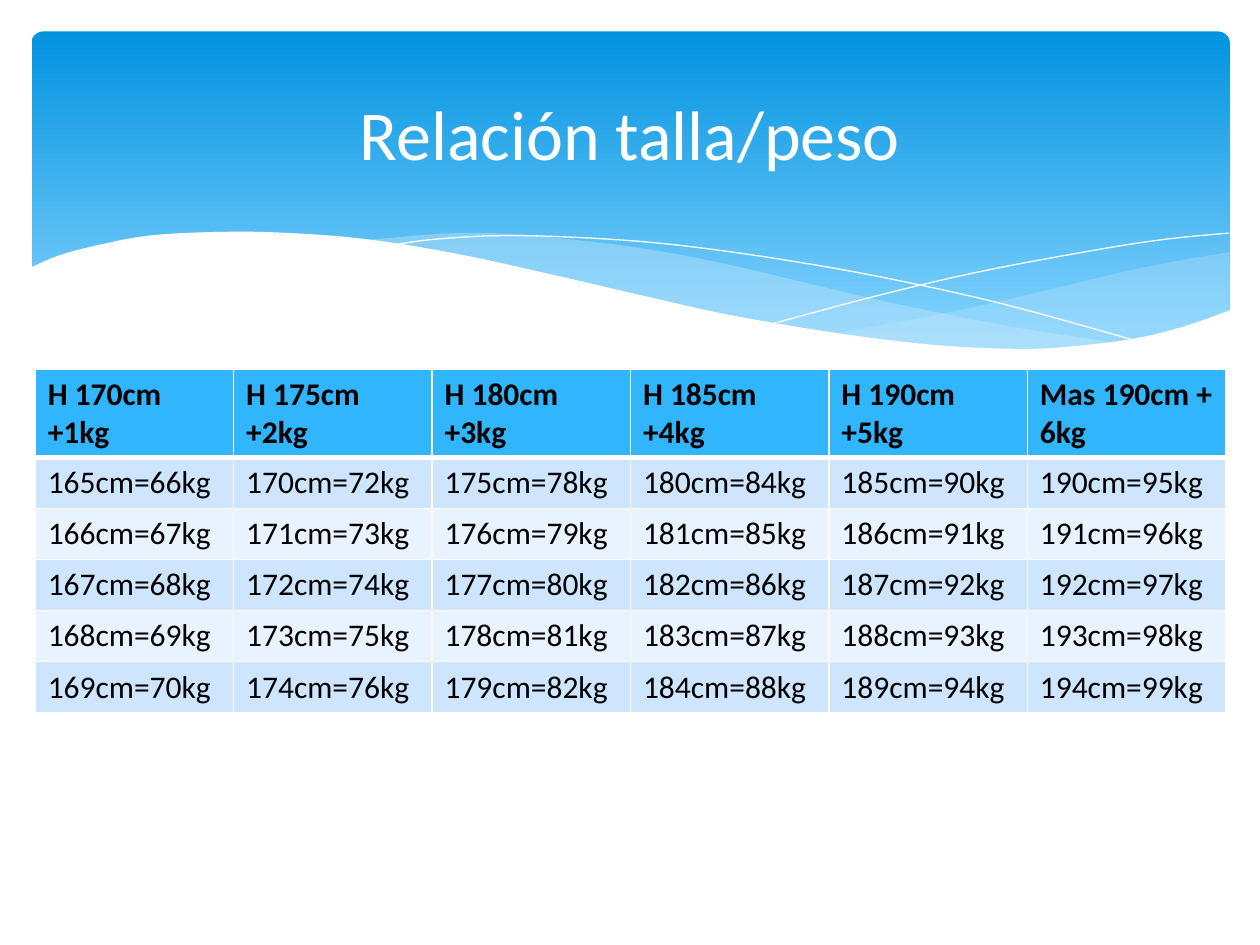
"""Build the height and weight table slide under a wavy blue banner."""
import pptx
import pptx.dml.color
import pptx.enum.shapes
import pptx.enum.text
import pptx.oxml
import pptx.oxml.ns
import pptx.util

TITLE = "Relación talla/peso"
COLUMNS = [
    ("H 170cm +1kg", 165, 66),
    ("H 175cm +2kg", 170, 72),
    ("H 180cm +3kg", 175, 78),
    ("H 185cm +4kg", 180, 84),
    ("H 190cm +5kg", 185, 90),
    ("Mas 190cm + 6kg", 190, 95),
]
ROWS_PER_COLUMN = 5
COLORS = {
    "banner_top": "0293E0", "banner_bottom": "83D3FE", "wave": "C6E7FC",
    "white": "FFFFFF", "text": "000000", "header": "31B6FD",
    "odd": "CEE5FE", "even": "E8F3FF",
}
FONT = "Calibri"
TITLE_FORMAT = {"name": FONT, "size": pptx.util.Pt(40), "bold": False}
CELL_FORMAT = {"name": FONT, "size": pptx.util.Pt(18)}
TABLE_BOX = (20.1, 210.9, 680.4, 175.2)
ROW_HEIGHT = 29.2

WAVES = [
    {"curves": [
        [(702.7, 144), (673.2, 149), (641.5, 155.5), (599, 165.6), (542.2, 178.6), (476, 190.8)],
        [(476, 190.8), (507.6, 195.1), (545, 198.7), (578.2, 200.2), (614.9, 198.7),
         (651.6, 193.7), (678.2, 186.5), (702.7, 177.8)]],
     "fill": "wave", "alpha": 29},
    {"curves": [
        [(643, 196.6), (581, 187.2), (508.3, 172.8), (452.9, 159.8), (409.7, 149.8),
         (361.4, 141.1), (302.4, 134.6), (259.9, 133.2), (205.9, 137.5)],
        [(205.9, 137.5), (246.2, 143.3), (290.9, 151.9), (323.3, 159.8), (381.6, 172.8),
         (445, 185.8), (500.4, 194.4), (547.9, 199.4), (589, 200.2), (617, 199.4), (643, 196.6)]],
     "fill": "wave", "alpha": 40},
    {"curves": [
        [(222.5, 140.4), (247.7, 136.8), (288.7, 134.6), (337.7, 136.1), (383.8, 139.7),
         (437.8, 146.9), (500.4, 157.7), (572.4, 173.5), (653, 195.8)]],
     "line": "white"},
    {"curves": [
        [(441.4, 185), (500.4, 169.2), (558.7, 155.5), (623.5, 143.3), (665.3, 136.8),
         (702, 133.2)]],
     "line": "white"},
    {"curves": [
        [(703.4, 177.1), (676.8, 186.5), (647.3, 193.7), (612, 198), (582.5, 199.4),
         (535.7, 197.3), (481, 190.8), (416.9, 180), (362.2, 167.8), (321.8, 158.4),
         (262.8, 145.4), (210.2, 136.8), (165.6, 133.2), (127.4, 132.5), (85.7, 134.6),
         (54.7, 140.4), (33.1, 146.2), (16.6, 153.4)],
        [(16.6, 236.9), (703.4, 236.9)]],
     "fill": "white"},
]


def points(*values):
    return [pptx.util.Pt(value) for value in values]


def color(name):
    return pptx.dml.color.RGBColor.from_string(COLORS[name])


def apply_format(font, values, color_name):
    for name, value in values.items():
        setattr(font, name, value)
    font.color.rgb = color(color_name)


def smooth(knots, steps=5):
    """Return a Catmull-Rom curve through the knots."""
    padded = [knots[0], *knots, knots[-1]]
    curve = []
    for a, b, c, d in zip(padded, padded[1:], padded[2:], padded[3:]):
        for step in range(steps):
            t = step / steps
            curve.append(tuple(
                q + t / 2 * (r - p + t * (2 * p - 5 * q + 4 * r - s + t * (3 * q - p - 3 * r + s)))
                for p, q, r, s in zip(a, b, c, d)))
    return curve + [knots[-1]]


def add_banner(slide):
    banner = slide.shapes.add_shape(
        pptx.enum.shapes.MSO_SHAPE.ROUNDED_RECTANGLE, *points(18, 18, 684.7, 194.4))
    banner.adjustments[0] = 0.034
    banner.shadow.inherit = False
    banner.line.fill.background()
    banner.fill.gradient()
    banner.fill.gradient_angle = 270
    stops = zip(banner.fill.gradient_stops, (0, 0.9), ("banner_top", "banner_bottom"))
    for stop, position, name in stops:
        stop.position = position
        stop.color.rgb = color(name)


def add_wave(slide, wave):
    outline = [points(*point) for curve in wave["curves"] for point in smooth(curve)]
    builder = slide.shapes.build_freeform(*outline[0])
    builder.add_line_segments(outline[1:], close="fill" in wave)
    shape = builder.convert_to_shape()
    shape.shadow.inherit = False
    if "line" in wave:
        shape.fill.background()
        shape.line.color.rgb = color(wave["line"])
        shape.line.width = pptx.util.Pt(0)
        return
    shape.line.fill.background()
    shape.fill.solid()
    shape.fill.fore_color.rgb = color(wave["fill"])
    if "alpha" in wave:
        fill_color = shape.fill._xPr.find(".//" + pptx.oxml.ns.qn("a:srgbClr"))
        alpha = fill_color.makeelement(
            pptx.oxml.ns.qn("a:alpha"), {"val": str(wave["alpha"] * 1000)})
        fill_color.append(alpha)


def add_title(slide):
    box = slide.shapes.add_textbox(*points(36, 26.6, 648, 98.6))
    frame = box.text_frame
    frame.word_wrap = True
    frame.vertical_anchor = pptx.enum.text.MSO_ANCHOR.MIDDLE
    paragraph = frame.paragraphs[0]
    paragraph.text = TITLE
    paragraph.alignment = pptx.enum.text.PP_ALIGN.CENTER
    apply_format(paragraph.font, TITLE_FORMAT, "white")


def set_borders(cell, widths):
    properties = cell._tc.get_or_add_tcPr()
    for side, width in widths.items():
        properties.append(pptx.oxml.parse_xml(
            f'<a:ln{side} {pptx.oxml.ns.nsdecls("a")} w="{pptx.util.Pt(width)}">'
            f'<a:solidFill><a:srgbClr val="{COLORS["white"]}"/></a:solidFill></a:ln{side}>'))


def add_table(slide):
    frame = slide.shapes.add_table(ROWS_PER_COLUMN + 1, len(COLUMNS), *points(*TABLE_BOX))
    table = frame.table
    table.horz_banding = False
    for row in table.rows:
        row.height = pptx.util.Pt(ROW_HEIGHT)
    for column_index, (heading, height, weight) in enumerate(COLUMNS):
        values = [f"{height + step}cm={weight + step}kg" for step in range(ROWS_PER_COLUMN)]
        for row_index, text in enumerate([heading, *values]):
            is_header = row_index == 0
            cell = table.cell(row_index, column_index)
            set_borders(cell, {"L": 1, "R": 1, "T": 3 if row_index == 1 else 1,
                               "B": 3 if is_header else 1})
            cell.fill.solid()
            cell.fill.fore_color.rgb = color(
                "header" if is_header else "odd" if row_index % 2 else "even")
            cell.text = text
            font = cell.text_frame.paragraphs[0].runs[0].font
            apply_format(font, {**CELL_FORMAT, "bold": is_header}, "text")


def main():
    presentation = pptx.Presentation()
    presentation.slide_width, presentation.slide_height = points(720, 540)
    slide = presentation.slides.add_slide(presentation.slide_layouts[6])
    add_banner(slide)
    for wave in WAVES:
        add_wave(slide, wave)
    add_title(slide)
    add_table(slide)
    presentation.save("out.pptx")


if __name__ == "__main__":
    main()
